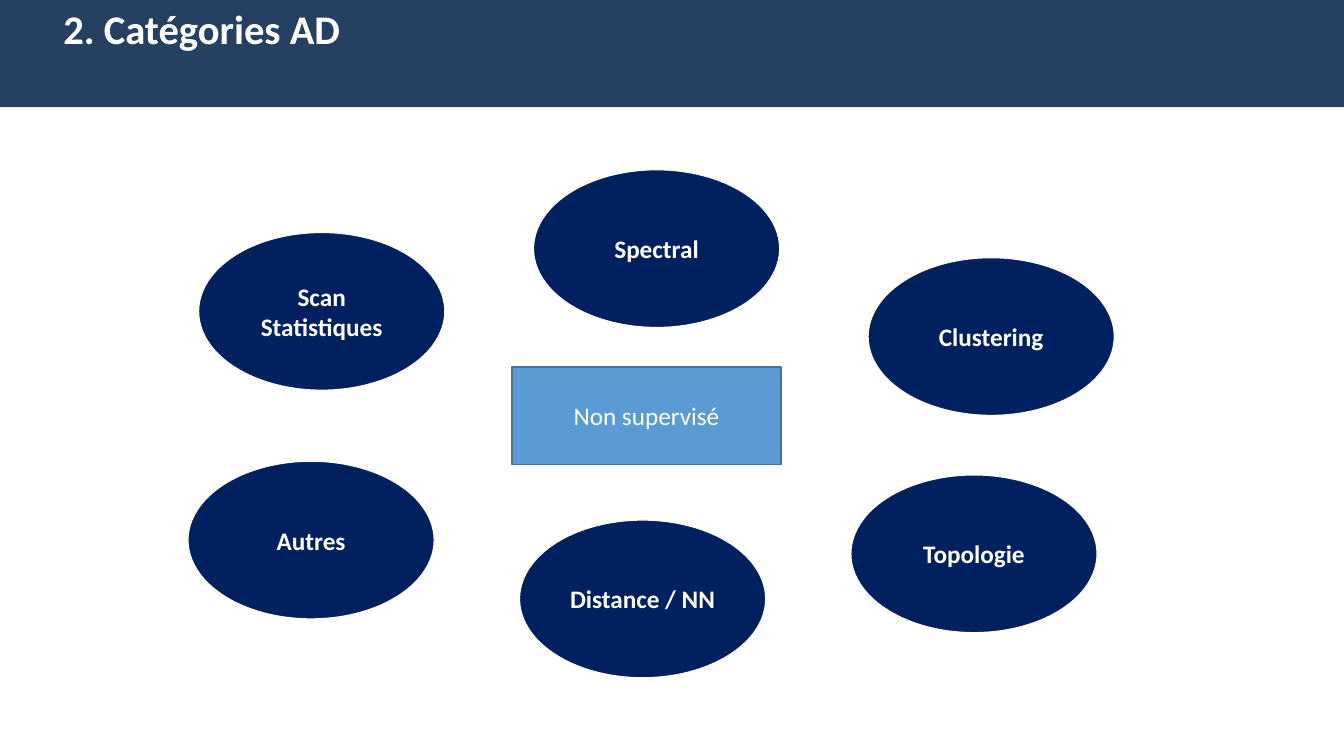
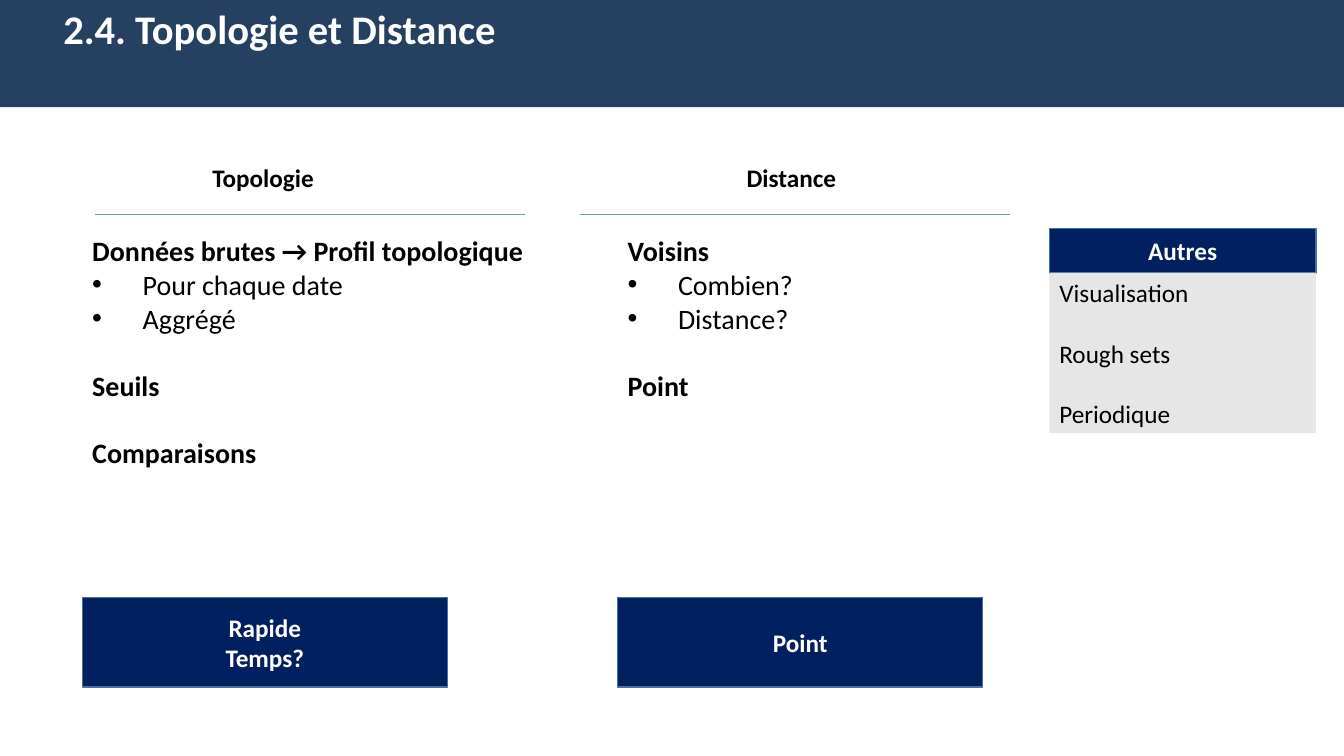
from pptx import Presentation
from pptx.dml.color import RGBColor
from pptx.enum.shapes import MSO_CONNECTOR, MSO_SHAPE as SHAPE
from pptx.enum.text import MSO_ANCHOR as ANCHOR, MSO_AUTO_SIZE, PP_ALIGN as ALIGN
from pptx.oxml.ns import qn
from pptx.util import Pt
from lxml import etree

BAND, NAVY, BLUE, EDGE = "254061", "002060", "5B9BD5", "43739E"
GREY, WHITE, BLACK = "E7E6E6", "FFFFFF", "000000"


def rgb(color):
    return RGBColor.from_string(color)


def put(s, text, box, sp=None, geom=None, fill=None, line=None, size=18, bold=True,
        color=WHITE, align=ALIGN.CENTER, anchor=ANCHOR.MIDDLE, gap=0):
    """Place a shape; lines starting with a bullet are indented, gap precedes the others."""
    if sp is None:
        sp = s.shapes.add_shape(geom, 0, 0, 0, 0) if geom else s.shapes.add_textbox(0, 0, 0, 0)
    sp.left, sp.top, sp.width, sp.height = [Pt(v) for v in box]
    if geom:
        sp.shadow.inherit = False
    if fill:
        sp.fill.solid()
        sp.fill.fore_color.rgb = rgb(fill)
    if line:
        sp.line.color.rgb = rgb(line)
        sp.line.width = Pt(1)
    else:
        sp.line.fill.background()
    tf = sp.text_frame
    tf.word_wrap = True
    tf.auto_size = MSO_AUTO_SIZE.NONE
    tf.vertical_anchor = anchor
    for i, row in enumerate(text.split("\n") if text else []):
        p = tf.add_paragraph() if i else tf.paragraphs[0]
        p.alignment = align
        bullet = row.startswith("•")
        if bullet:
            pPr = p._p.get_or_add_pPr()
            pPr.set("marL", str(Pt(36)))
            pPr.set("indent", str(Pt(-36)))
            etree.SubElement(pPr, qn("a:buFont"), typeface="Arial")
            etree.SubElement(pPr, qn("a:buChar"), char="•")
        elif i and gap:
            p.space_before = Pt(gap)
        r = p.add_run()
        r.text = row.lstrip("• ")
        r.font.name, r.font.size = "Calibri", Pt(size)
        r.font.bold = bold and not bullet
        r.font.color.rgb = rgb(color)
    return sp


prs = Presentation()
prs.slide_width, prs.slide_height = Pt(960), Pt(540)

# Shared band and title
slides = []
for title in ["2. Catégories AD", "2.4. Topologie et Distance"]:
    s = prs.slides.add_slide(prs.slide_layouts[5])
    band = put(s, "", (0, 0, 960, 76.6), geom=SHAPE.RECTANGLE, fill=BAND)
    s.shapes._spTree.insert(2, band._element)
    sp = put(s, title, (38.7, 0, 921.3, 41.8), sp=s.shapes.title, size=29,
             align=ALIGN.LEFT, anchor=ANCHOR.TOP)
    tf = sp.text_frame
    tf.margin_left = tf.margin_right = Pt(6.5)
    tf.margin_top = tf.margin_bottom = Pt(3)
    slides.append(s)
categories, comparison = slides

# Slide 1: categories around the centre
for name, x, y in [
    ("Spectral", 381, 121.2),
    ("Scan Statistiques", 141.8, 166),
    ("Topologie", 607.7, 339.2),
    ("Clustering", 620, 184),
    ("Distance / NN", 371, 371.4),
    ("Autres", 134.2, 329.4),
]:
    put(categories, name, (x, y, 176, 112.8), geom=SHAPE.OVAL, fill=NAVY, line=WHITE)
put(categories, "Non supervisé", (365.6, 262.2, 192.4, 69.6), geom=SHAPE.RECTANGLE,
    fill=BLUE, line=EDGE, bold=False)

# Slide 2: two columns, each with heading, rule, points and verdict
for heading, body, verdict, head_x, rule_x, x in [
    ("Topologie",
     "Données brutes → Profil topologique\n• Pour chaque date\n• Aggrégé\nSeuils\nComparaisons",
     "Rapide\nTemps?", 30.6, 67.8, 58.8),
    ("Distance", "Voisins\n• Combien?\n• Distance?\nPoint", "Point", 408, 414.4, 441.2),
]:
    put(comparison, heading, (head_x, 112.6, 314.6, 29), color=BLACK, anchor=ANCHOR.TOP)
    rule = comparison.shapes.add_connector(
        MSO_CONNECTOR.STRAIGHT, Pt(rule_x), Pt(153.2), Pt(rule_x + 307), Pt(153.2))
    rule.line.color.rgb = rgb(BLUE)
    rule.line.width = Pt(0.5)
    etree.SubElement(rule._element.spPr, qn("a:effectLst"))
    put(comparison, body, (x, 163.6, 358.6, 177), size=20, color=BLACK,
        align=ALIGN.LEFT, anchor=ANCHOR.TOP, gap=24)
    put(comparison, verdict, (x, 426.8, 260.8, 64), geom=SHAPE.RECTANGLE, fill=NAVY, line=EDGE)

# Slide 2: side panel
put(comparison, "Autres", (749.6, 163.4, 190.4, 31.6), geom=SHAPE.RECTANGLE,
    fill=NAVY, line=EDGE)
put(comparison, "Visualisation\nRough sets\nPeriodique", (749.6, 195, 190.4, 114.4),
    geom=SHAPE.RECTANGLE, fill=GREY, bold=False, color=BLACK, align=ALIGN.LEFT, gap=21.6)

prs.save("out.pptx")
